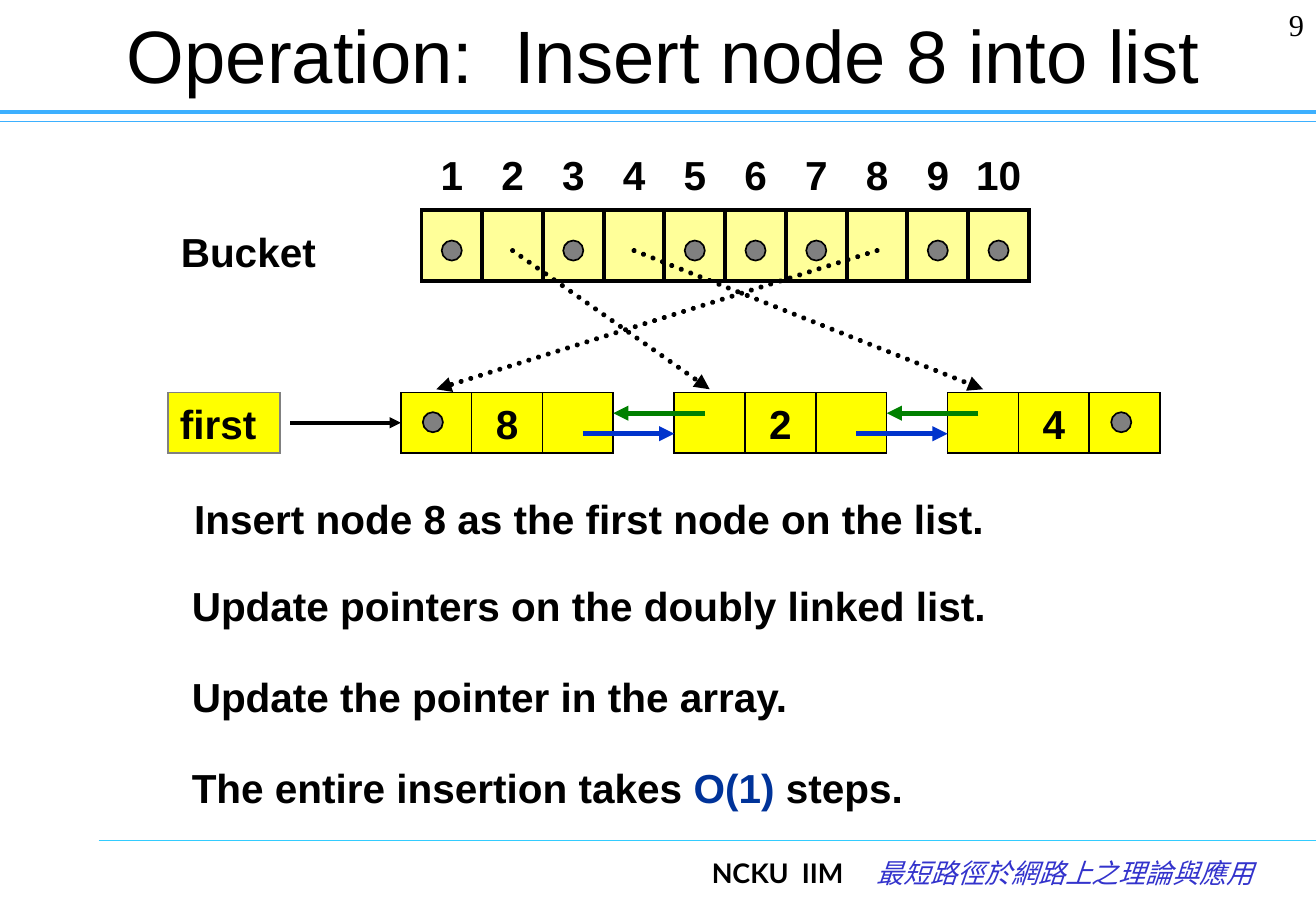
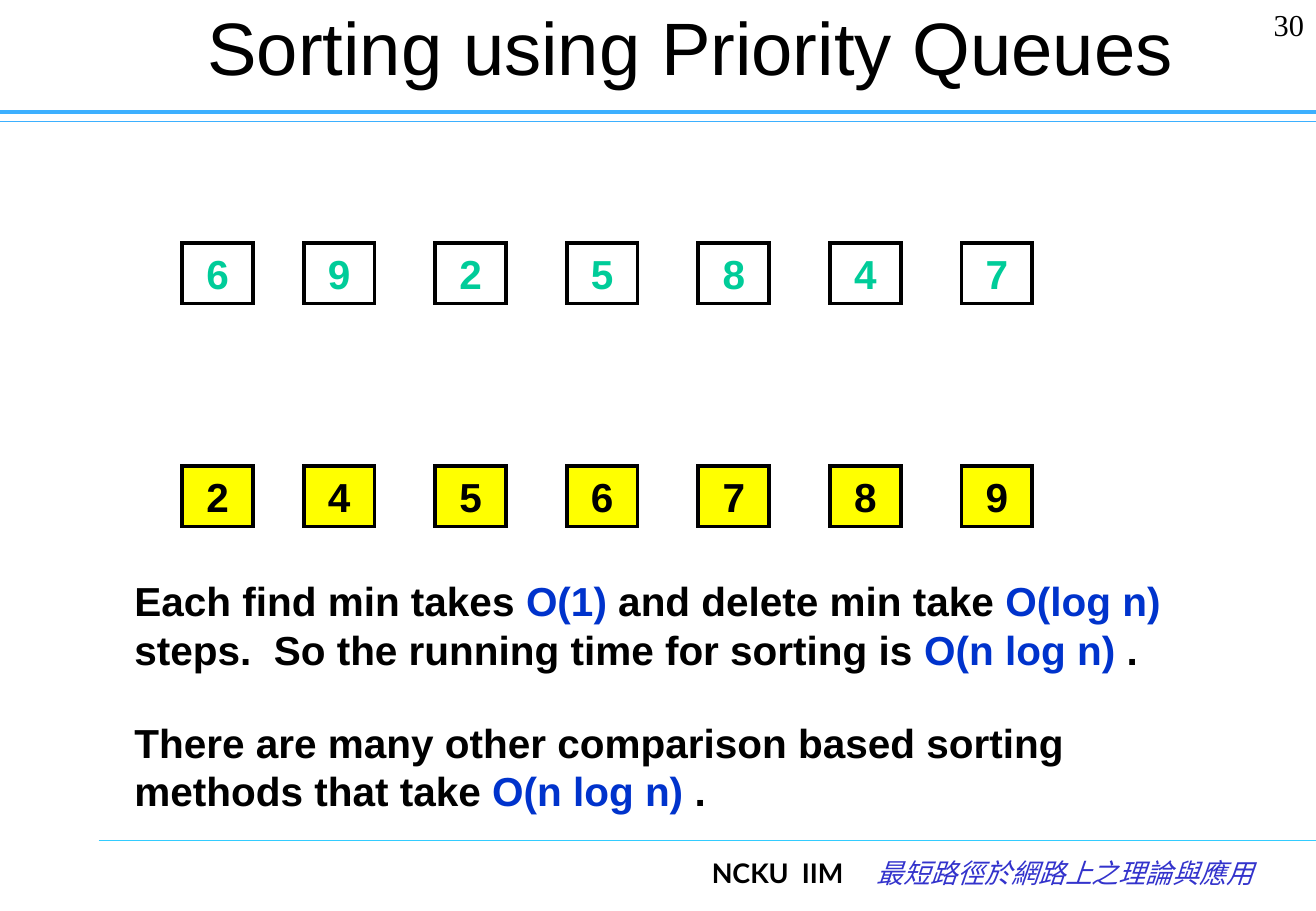
from dataclasses import dataclass

from lxml.etree import SubElement
from pptx import Presentation
from pptx.dml.color import RGBColor
from pptx.enum.dml import MSO_LINE
from pptx.enum.shapes import MSO_CONNECTOR, MSO_SHAPE
from pptx.enum.text import MSO_ANCHOR, PP_ALIGN
from pptx.oxml.ns import qn
from pptx.util import Cm, Pt


@dataclass(frozen=True)
class Theme:
    black: str = "000000"
    white: str = "FFFFFF"
    grey: str = "808080"
    yellow: str = "FFFF00"
    pale_yellow: str = "FFFF99"
    green: str = "008000"
    mint: str = "00CC99"
    blue: str = "0033CC"
    navy: str = "003399"
    violet: str = "3333CC"
    header_rule: str = "3DB0FF"
    footer_rule: str = "33CCFF"
    body_font: str = "Arial"
    number_font: str = "Times New Roman"
    footer_font: str = "Lato"
    course_font: str = "Noto Sans Mono"
    title_size: int = 44
    body_size: int = 24
    number_size: int = 18
    footer_size: int = 16


@dataclass(frozen=True)
class Box:
    """A region of the page, in centimetres."""
    left: float
    top: float
    width: float
    height: float

    def lengths(self):
        return Cm(self.left), Cm(self.top), Cm(self.width), Cm(self.height)


THEME = Theme()
PAGE = Box(0, 0, 27.51, 19.05)
CELL_WIDTH, CELL_HEIGHT = 1.48, 1.27
DOT = 0.42


# Drawing helpers

def write(shape, text, *, size=THEME.body_size, color=THEME.black, font=THEME.body_font,
          bold=True, italic=False, align=PP_ALIGN.LEFT, anchor=MSO_ANCHOR.TOP,
          side_margin=0.25, tab=None):
    """Fill a shape with a string, or with (string, format changes) pairs."""
    frame = shape.text_frame
    frame.word_wrap = True
    frame.margin_left = frame.margin_right = Cm(side_margin)
    frame.vertical_anchor = anchor
    para = frame.paragraphs[0]
    para.alignment = align
    if tab is not None:
        tabs = SubElement(para._p.get_or_add_pPr(), qn("a:tabLst"))
        SubElement(tabs, qn("a:tab"), pos=str(Cm(tab)), algn="l")
    base = dict(size=size, color=color, font=font, bold=bold, italic=italic)
    for words, changes in [(text, {})] if isinstance(text, str) else text:
        look = {**base, **changes}
        span = para.add_run()
        span.text = words
        span.font.size = Pt(look["size"])
        span.font.name = look["font"]
        span.font.bold = look["bold"]
        span.font.italic = look["italic"]
        span.font.color.rgb = RGBColor.from_string(look["color"])
    return shape


def add_text(page, box, text, **look):
    return write(page.shapes.add_textbox(*box.lengths()), text, **look)


def add_centred(page, box, text, **look):
    return add_text(page, box, text, align=PP_ALIGN.CENTER, anchor=MSO_ANCHOR.MIDDLE, **look)


def add_block(page, box, fill, *, kind=MSO_SHAPE.RECTANGLE, line=THEME.black, weight=1,
              text="", **look):
    shape = page.shapes.add_shape(kind, *box.lengths())
    shape.shadow.inherit = False
    shape.fill.solid()
    shape.fill.fore_color.rgb = RGBColor.from_string(fill)
    shape.line.color.rgb = RGBColor.from_string(line)
    shape.line.width = Pt(weight)
    # Square corners
    SubElement(shape._element.spPr.find(qn("a:ln")), qn("a:miter"), lim="800000")
    if text:
        centred = dict(align=PP_ALIGN.CENTER, anchor=MSO_ANCHOR.MIDDLE, side_margin=0)
        write(shape, text, **{**centred, **look})
    return shape


def add_dot(page, x, y):
    add_block(page, Box(x - DOT / 2, y - DOT / 2, DOT, DOT), THEME.grey, kind=MSO_SHAPE.OVAL)


def add_line(page, start, end, color, weight, *, arrow=False, dotted=False):
    ends = [Cm(value) for value in (*start, *end)]
    line = page.shapes.add_connector(MSO_CONNECTOR.STRAIGHT, *ends)
    line.line.color.rgb = RGBColor.from_string(color)
    line.line.width = Pt(weight)
    properties = line._element.spPr
    outline = properties.find(qn("a:ln"))
    if dotted:
        line.line.dash_style = MSO_LINE.ROUND_DOT
        outline.set("cap", "rnd")
    if arrow:
        SubElement(outline, qn("a:tailEnd"), type="triangle")
    SubElement(properties, qn("a:effectLst"))


# Parts shared by every slide

def add_page(deck, number, title, title_box):
    page = deck.slides.add_slide(deck.slide_layouts[6])
    # Header and footer rules
    for left, y, color, weight in ((0, 2.54, THEME.header_rule, 0.75),
                                   (0, 2.34, THEME.header_rule, 2.5),
                                   (2.06, 17.57, THEME.footer_rule, 0.75)):
        add_line(page, (left, y), (PAGE.width, y), color, weight)
    # Footer
    add_text(page, Box(14.63, 17.78, 12.2, 1.27),
             [("NCKU  IIM\t", {}),
              ("最短路徑於網路上之理論與應用", dict(font=THEME.course_font, color=THEME.violet,
                                      bold=False, italic=True))],
             size=THEME.footer_size, font=THEME.footer_font, tab=3.45)
    # Page number and title
    add_text(page, Box(25.22, 0, 2.29, 1.27), number, size=THEME.number_size,
             font=THEME.number_font, bold=False, align=PP_ALIGN.RIGHT)
    add_centred(page, title_box, title, size=THEME.title_size, bold=False)
    return page


# Regions of the linked list slide

def add_bucket(page, box, empty):
    """Draw the array and return the start points of its used pointers."""
    pitch = box.width / 10
    starts = {}
    for index in range(1, 11):
        left = box.left + (index - 1) * pitch
        x, y = left + pitch / 2, box.top + 0.85
        add_centred(page, Box(left, box.top - box.height, pitch, box.height),
                    str(index), side_margin=0)
        add_block(page, Box(left, box.top, pitch, box.height), THEME.pale_yellow, weight=2.25)
        if index in empty:
            add_dot(page, x, y)
        else:
            starts[index] = (x, y)
    return starts


def add_linked_list(page, box, values):
    """Draw the nodes and links and return the point above each node."""
    node_width = 3 * CELL_WIDTH
    pitch = (box.width - node_width) / (len(values) - 1)
    lefts = [box.left + index * pitch for index in range(len(values))]
    # Nodes: back pointer, value, forward pointer
    for left, value in zip(lefts, values):
        for column, text in enumerate(("", value, "")):
            cell = Box(left + column * CELL_WIDTH, box.top, CELL_WIDTH, box.height)
            add_block(page, cell, THEME.yellow, text=text)
    # Null pointers at both ends
    for left in (lefts[0], lefts[-1] + 2 * CELL_WIDTH):
        add_dot(page, left + 0.67, box.top + 0.62)
    # Links between neighbours
    for left, following in zip(lefts, lefts[1:]):
        back, forward = box.top + 0.43, box.top + 0.86
        add_line(page, (following + 0.64, back), (left + node_width, back),
                 THEME.green, 3, arrow=True)
        add_line(page, (following - 1.91, forward), (following, forward),
                 THEME.blue, 3, arrow=True)
    return {value: (left + CELL_WIDTH / 2, box.top - 0.07)
            for left, value in zip(lefts, values)}


def add_statements(page, box, statements):
    for left, top, text in statements:
        add_text(page, Box(box.left + left, box.top + top, box.width, CELL_HEIGHT), text)


def build_insertion(deck):
    page = add_page(deck, "9", "Operation:  Insert node 8 into list",
                    Box(2.16, 0.18, 23.44, 1.9))
    # Array and list
    add_text(page, Box(3.53, 4.62, 4.24, 1.27), "Bucket")
    starts = add_bucket(page, Box(8.81, 4.39, 12.7, 1.48), {1, 3, 5, 6, 7, 9, 10})
    ends = add_linked_list(page, Box(8.38, 8.21, 15.87, CELL_HEIGHT), ("8", "2", "4"))
    for index, start in starts.items():
        add_line(page, start, ends[str(index)], THEME.black, 3, arrow=True, dotted=True)
    # Head of the list
    add_block(page, Box(3.51, 8.21, 2.34, CELL_HEIGHT), THEME.yellow, line=THEME.grey,
              text="first", align=PP_ALIGN.LEFT, anchor=MSO_ANCHOR.TOP, side_margin=0.25)
    add_line(page, (6.07, 8.84), (8.38, 8.84), THEME.black, 2.25, arrow=True)
    # Steps
    add_statements(page, Box(3.76, 10.21, 17.35, 6.88), (
        (0.05, 0, "Insert node 8 as the first node on the list."),
        (0, 1.81, "Update pointers on the doubly linked list."),
        (0, 3.71, "Update the pointer in the array."),
        (0, 5.62, [("The entire insertion takes ", {}), ("O(1)", dict(color=THEME.navy)),
                   (" steps.", {})]),
    ))


# Regions of the sorting slide

def add_number_row(page, box, digits, fill, color):
    first_gap, pitch = 2.54, 2.75
    offsets = [0] + [first_gap + index * pitch for index in range(len(digits) - 1)]
    for offset, digit in zip(offsets, digits):
        add_block(page, Box(box.left + offset, box.top, CELL_WIDTH, box.height), fill,
                  weight=2.25, text=digit, color=color)


def build_sorting(deck):
    page = add_page(deck, "30", "Sorting using Priority Queues", Box(3.66, 0, 21.56, 1.9))
    # Input and sorted output
    add_number_row(page, Box(3.81, 5.08, 17.78, CELL_HEIGHT), "6925847",
                   THEME.white, THEME.mint)
    add_number_row(page, Box(3.81, 9.74, 17.78, CELL_HEIGHT), "2456789",
                   THEME.yellow, THEME.black)
    # Running time
    cost = dict(color=THEME.blue)
    add_text(page, Box(2.56, 11.92, 22, 2.31), [
        ("Each find min takes ", {}), ("O(1)", cost), (" and delete min take ", {}),
        ("O(log n)", cost), (" steps.  So the running time for sorting is ", {}),
        ("O(n log n)", cost), (" .", {})])
    add_text(page, Box(2.56, 14.88, 21.59, 2.31), [
        ("There are many other comparison based sorting methods that take ", {}),
        ("O(n log n)", cost), (" .", {})])


def main():
    deck = Presentation()
    deck.slide_width, deck.slide_height = Cm(PAGE.width), Cm(PAGE.height)
    build_insertion(deck)
    build_sorting(deck)
    deck.save("out.pptx")


if __name__ == "__main__":
    main()
